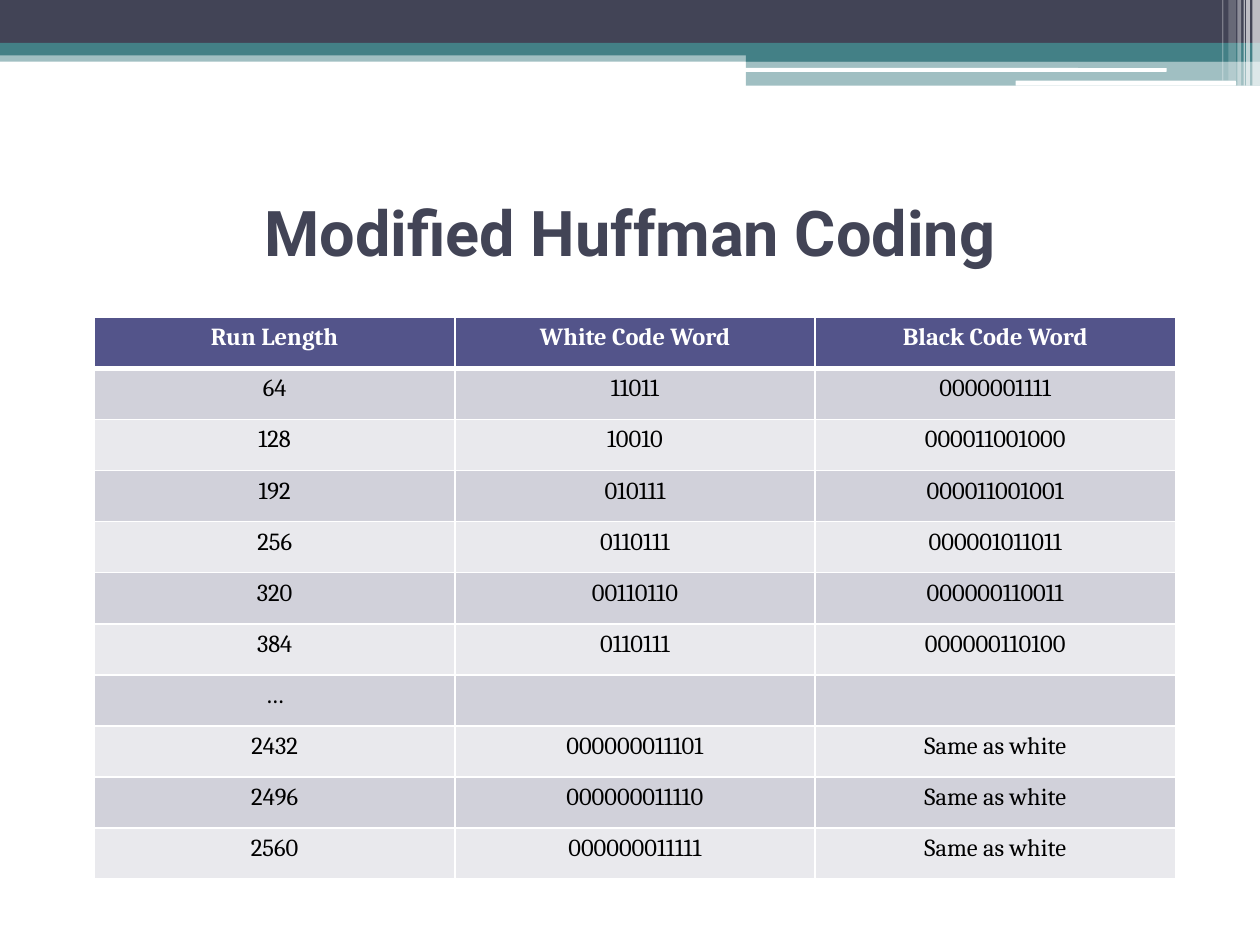
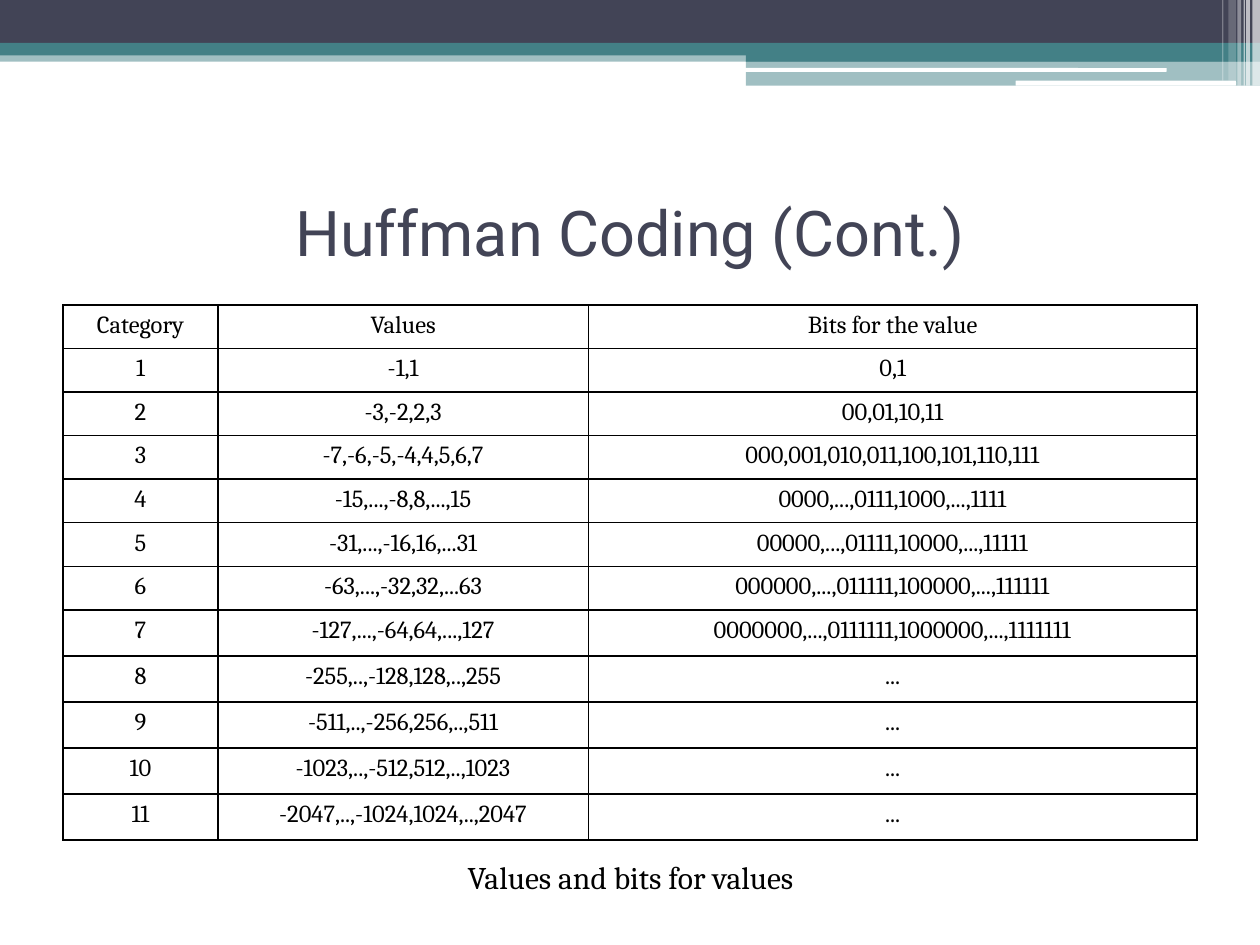
"""Build two slides of Huffman code tables under a shared banded header."""
from dataclasses import dataclass

from lxml import etree
from pptx import Presentation
from pptx.dml.color import RGBColor
from pptx.enum import shapes, text
from pptx.oxml.ns import qn
from pptx.util import Inches, Pt


@dataclass(frozen=True)
class Theme:
    """Colours, fonts and type sizes of the deck."""
    slate: str = "424456"
    teal: str = "438086"
    white: str = "FFFFFF"
    black: str = "000000"
    header_fill: str = "53548A"
    row_fills: tuple[str, str] = ("D1D1DA", "E9E9ED")
    title_font: str = "Roboto"
    body_font: str = "Cambria"
    title_size: int = 36
    caption_size: int = 18
    table_size: int = 14


THEME = Theme()


@dataclass(frozen=True)
class Band:
    """One filled bar of the header, in inches, with opacity in percent."""
    left: float
    top: float
    width: float
    height: float
    color: str
    opacity: int = 100
    rounded: bool = False


@dataclass(frozen=True)
class TextStyle:
    """Font settings of a paragraph."""
    font: str
    size: int
    color: str
    bold: bool = False


@dataclass(frozen=True)
class TableStyle:
    """Border, header and row colours of a table."""
    border: str
    header_text: TextStyle
    header_fill: str | None = None
    row_fills: tuple[str, ...] = ()
    header_rule: int = 1


@dataclass(frozen=True)
class TableBox:
    """Position, column widths and row heights of a table, in inches."""
    left: float
    top: float
    columns: list[float]
    rows: list[float]


BANDS = [
    Band(0, 0.4, 10, 0.09, THEME.teal, 50),
    Band(0, 0, 10, 0.34, THEME.slate),
    Band(0, 0.34, 10, 0.1, THEME.teal),
    Band(5.92, 0.39, 4.08, 0.1, THEME.teal),
    Band(5.92, 0.48, 4.08, 0.2, THEME.teal, 50),
    Band(5.91, 0.54, 3.35, 0.03, THEME.white, rounded=True),
    Band(8.06, 0.64, 1.75, 0.04, THEME.white, rounded=True),
    Band(9.94, 0, 0.06, 0.68, THEME.white, 65),
    Band(9.89, 0, 0.03, 0.68, THEME.white, 65),
    Band(9.87, 0, 0.01, 0.68, THEME.white, 60),
    Band(9.82, 0, 0.03, 0.68, THEME.white, 40),
    Band(9.75, 0, 0.06, 0.64, THEME.white, 20),
    Band(9.7, 0, 0.01, 0.64, THEME.white, 30),
]

BODY_TEXT = TextStyle(THEME.body_font, THEME.table_size, THEME.black)
CAPTION_TEXT = TextStyle(THEME.body_font, THEME.caption_size, THEME.black)
BANDED = TableStyle(
    THEME.white,
    TextStyle(THEME.body_font, THEME.table_size, THEME.white, bold=True),
    THEME.header_fill, THEME.row_fills, header_rule=3)
RULED = TableStyle(THEME.black, BODY_TEXT)

RUN_LENGTH_CODES = [
    ("Run Length", "White Code Word", "Black Code Word"),
    ("64", "11011", "0000001111"),
    ("128", "10010", "000011001000"),
    ("192", "010111", "000011001001"),
    ("256", "0110111", "000001011011"),
    ("320", "00110110", "000000110011"),
    ("384", "0110111", "000000110100"),
    ("…", "", ""),
    ("2432", "000000011101", "Same as white"),
    ("2496", "000000011110", "Same as white"),
    ("2560", "000000011111", "Same as white"),
]
VALUE_CATEGORIES = [
    ("Category", "Values", "Bits for the value"),
    ("1", "-1,1", "0,1"),
    ("2", "-3,-2,2,3", "00,01,10,11"),
    ("3", "-7,-6,-5,-4,4,5,6,7", "000,001,010,011,100,101,110,111"),
    ("4", "-15,...,-8,8,...,15", "0000,...,0111,1000,...,1111"),
    ("5", "-31,...,-16,16,...31", "00000,...,01111,10000,...,11111"),
    ("6", "-63,...,-32,32,...63", "000000,...,011111,100000,...,111111"),
    ("7", "-127,...,-64,64,...,127", "0000000,...,0111111,1000000,...,1111111"),
    ("8", "-255,..,-128,128,..,255", "..."),
    ("9", "-511,..,-256,256,..,511", "..."),
    ("10", "-1023,..,-512,512,..,1023", "..."),
    ("11", "-2047,..,-1024,1024,..,2047", "..."),
]


def draw_band(slide, band: Band) -> None:
    """Draw one bar of the header."""
    kind = shapes.MSO_SHAPE.ROUNDED_RECTANGLE if band.rounded else shapes.MSO_SHAPE.RECTANGLE
    shape = slide.shapes.add_shape(
        kind, Inches(band.left), Inches(band.top), Inches(band.width), Inches(band.height))
    shape.shadow.inherit = False
    shape.line.fill.background()
    shape.fill.solid()
    shape.fill.fore_color.rgb = RGBColor.from_string(band.color)
    if band.opacity < 100:
        color = shape._element.spPr.find(f"{qn('a:solidFill')}/{qn('a:srgbClr')}")
        etree.SubElement(color, qn("a:alpha"), val=str(band.opacity * 1000))


def write_text(frame, words: str, style: TextStyle) -> None:
    """Write one centred paragraph in the given style."""
    paragraph = frame.paragraphs[0]
    paragraph.text = words
    paragraph.alignment = text.PP_ALIGN.CENTER
    paragraph.font.name = style.font
    paragraph.font.size = Pt(style.size)
    paragraph.font.bold = style.bold
    paragraph.font.color.rgb = RGBColor.from_string(style.color)


def add_text(slide, words: str, style: TextStyle, left: float, top: float,
             width: float, height: float, wrap: bool = True) -> None:
    """Add a text box holding one paragraph centred in its height."""
    frame = slide.shapes.add_textbox(
        Inches(left), Inches(top), Inches(width), Inches(height)).text_frame
    frame.word_wrap = wrap
    frame.vertical_anchor = text.MSO_ANCHOR.MIDDLE
    write_text(frame, words, style)


def set_borders(cell, color: str, top: int, bottom: int) -> None:
    """Give a cell solid borders, with top and bottom widths in points."""
    properties = cell._tc.get_or_add_tcPr()
    for side, width in (("L", 1), ("R", 1), ("T", top), ("B", bottom)):
        line = etree.SubElement(properties, qn(f"a:ln{side}"), w=str(Pt(width)))
        fill = etree.SubElement(line, qn("a:solidFill"))
        etree.SubElement(fill, qn("a:srgbClr"), val=color)


def add_code_table(slide, rows: list[tuple[str, ...]], box: TableBox, style: TableStyle) -> None:
    """Add a table with a header row and styled body rows."""
    table = slide.shapes.add_table(
        len(rows), len(box.columns), Inches(box.left), Inches(box.top),
        Inches(sum(box.columns)), Inches(sum(box.rows))).table
    table.first_row = table.horz_banding = False
    for column, width in zip(table.columns, box.columns):
        column.width = Inches(width)
    for row, height in zip(table.rows, box.rows):
        row.height = Inches(height)
    for row_index, values in enumerate(rows):
        is_header = row_index == 0
        fill = style.header_fill
        if not is_header and style.row_fills:
            fill = style.row_fills[(row_index - 1) % len(style.row_fills)]
        for column_index, value in enumerate(values):
            cell = table.cell(row_index, column_index)
            set_borders(cell, style.border,
                        top=style.header_rule if row_index == 1 else 1,
                        bottom=style.header_rule if is_header else 1)
            if fill:
                cell.fill.solid()
                cell.fill.fore_color.rgb = RGBColor.from_string(fill)
            else:
                cell.fill.background()
            write_text(cell.text_frame, value, style.header_text if is_header else BODY_TEXT)


def add_slide(presentation, title: str, bold: bool = False):
    """Add a blank slide with the header bands and a title."""
    slide = presentation.slides.add_slide(presentation.slide_layouts[6])
    for band in BANDS:
        draw_band(slide, band)
    style = TextStyle(THEME.title_font, THEME.title_size, THEME.slate, bold)
    add_text(slide, title, style, 0.5, 1.25, 9, 1.17)
    return slide


def main() -> None:
    """Build and save the presentation."""
    presentation = Presentation()
    presentation.slide_width, presentation.slide_height = Inches(10), Inches(7.5)

    slide = add_slide(presentation, "Modified Huffman Coding", bold=True)
    run_length_box = TableBox(0.75, 2.52, [2.86] * 3, [4.46 / 11] * 11)
    add_code_table(slide, RUN_LENGTH_CODES, run_length_box, BANDED)

    slide = add_slide(presentation, "Huffman Coding (Cont.)")
    category_box = TableBox(0.5, 2.42, [1.23, 2.94, 4.83], [2.42 / 7] * 7 + [1.83 / 5] * 5)
    add_code_table(slide, VALUE_CATEGORIES, category_box, RULED)
    add_text(slide, "Values and bits for values", CAPTION_TEXT, 3.48, 6.76, 3.05, 0.4, wrap=False)

    presentation.save("out.pptx")


if __name__ == "__main__":
    main()
